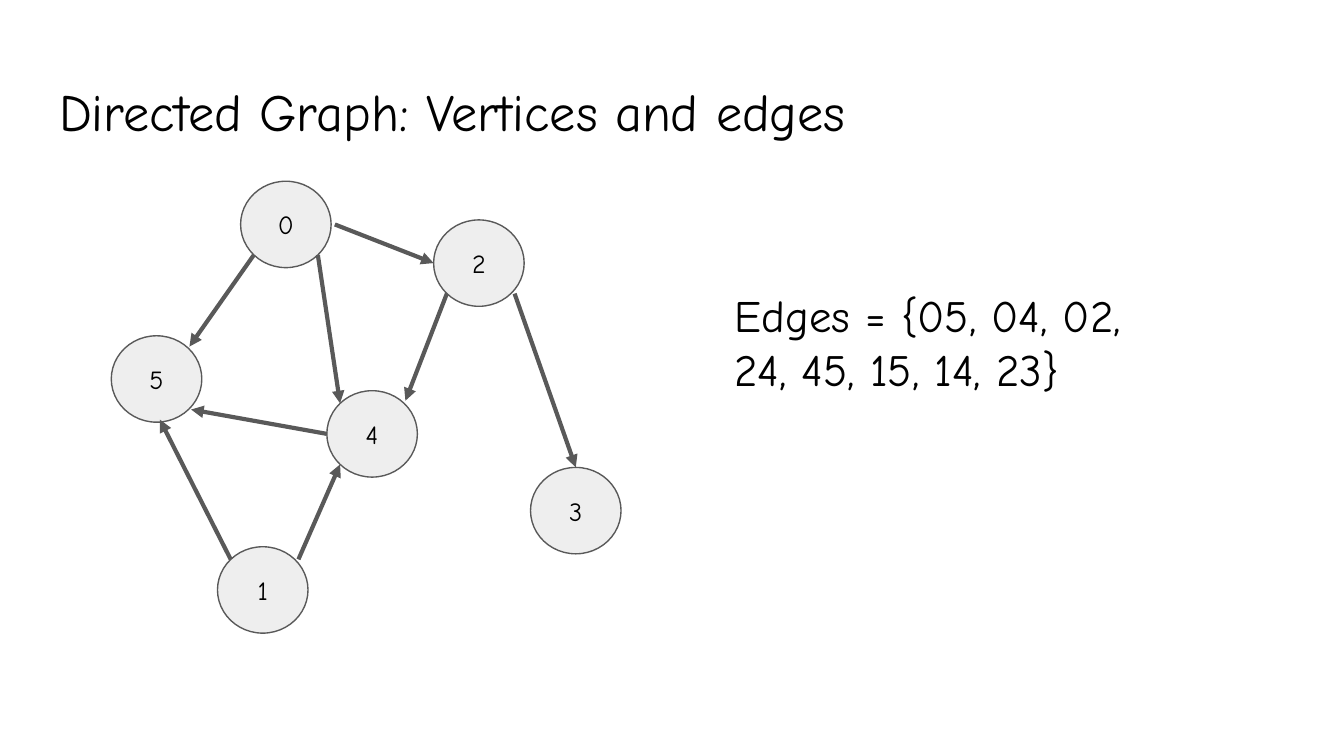
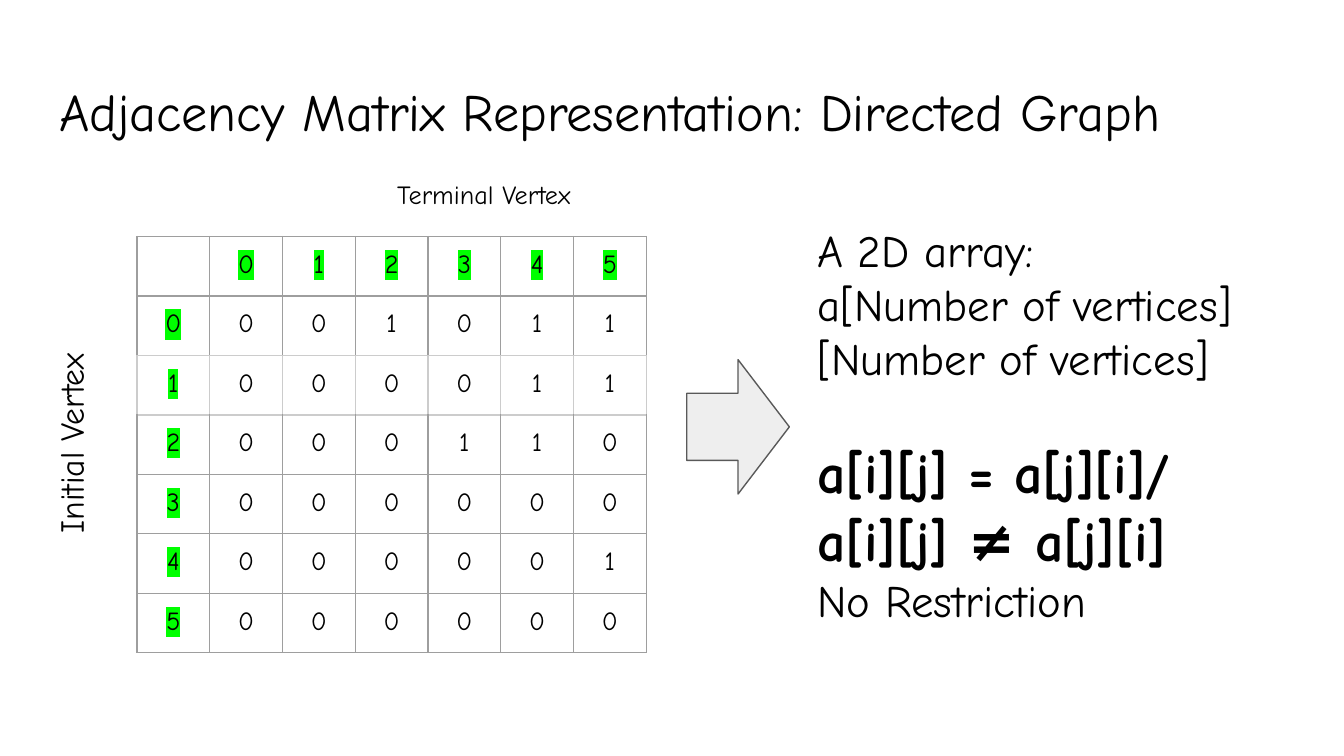
from lxml import etree
from pptx import Presentation
from pptx import util as u
from pptx.dml.color import RGBColor
from pptx.enum import shapes, text
from pptx.oxml import ns

FONT = "Comic Neue"
BLACK, WHITE, PALE, DARK = "000000", "FFFFFF", "EEEEEE", "595959"
GRID, LIGHT_GRID, GREEN = "9E9E9E", "CCCCCC", "00FF00"
INSET = 7.2
VERTEX_W, VERTEX_H = 48.5, 46.3
VERTICES = {
    "0": (128.9, 97.1),
    "1": (116.5, 292.9),
    "2": (232.3, 117.8),
    "3": (284.2, 250.4),
    "4": (175.1, 209.3),
    "5": (59.6, 179.9),
}
DIAGONAL = 0.5 ** 0.5
SITES = {
    "top": (0, -1), "left": (-1, 0), "bottom": (0, 1), "right": (1, 0),
    "top left": (-DIAGONAL, -DIAGONAL), "top right": (DIAGONAL, -DIAGONAL),
    "bottom left": (-DIAGONAL, DIAGONAL), "bottom right": (DIAGONAL, DIAGONAL),
}
ON_SITE = (0, 0)
EDGES = {
    "05": ("bottom left", "top right", ON_SITE, (0.5, -1)),
    "04": ("bottom right", "top left", ON_SITE, ON_SITE),
    "02": ("right", "left", (2, 0), ON_SITE),
    "24": ("bottom left", "top right", ON_SITE, (0.7, -1.4)),
    "45": ("left", "bottom right", ON_SITE, (1.4, 0)),
    "15": ("top left", "bottom", ON_SITE, (1.8, -1.4)),
    "14": ("top right", "bottom left", (2, 0), ON_SITE),
    "23": ("bottom right", "top", (2, 0), ON_SITE),
}


def color(value):
    return RGBColor.from_string(value)


def points(*values):
    return [u.Pt(value) for value in values]


def add_element(parent, tag, **attributes):
    element = etree.SubElement(parent, ns.qn(tag))
    for name, value in attributes.items():
        element.set(name, value)
    return element


def style_span(span, size, bold=False):
    span.font.name = FONT
    span.font.size = u.Pt(size)
    span.font.bold = bold
    span.font.color.rgb = color(BLACK)


def highlight(span, fill):
    properties = span.font.fill._xPr
    mark = etree.Element(ns.qn("a:highlight"))
    add_element(mark, "a:srgbClr", val=fill)
    properties.find(ns.qn("a:solidFill")).addnext(mark)


def write(frame, words, size, align=text.PP_ALIGN.LEFT, anchor=text.MSO_ANCHOR.TOP):
    frame.text = words
    frame.word_wrap = True
    frame.auto_size = text.MSO_AUTO_SIZE.NONE
    frame.vertical_anchor = anchor
    frame.margin_left = frame.margin_right = u.Pt(INSET)
    frame.margin_top = frame.margin_bottom = u.Pt(INSET)
    for para in frame.paragraphs:
        para.alignment = align
        for span in para.runs:
            style_span(span, size)


def add_page(deck, title):
    page = deck.slides.add_slide(deck.slide_layouts[5])
    page.background.fill.solid()
    page.background.fill.fore_color.rgb = color(WHITE)
    box = page.shapes.title
    box.left, box.top, box.width, box.height = points(24.5, 35.3, 671, 45.7)
    write(box.text_frame, title, 28)
    return page


def add_text(page, place, words, size, align=text.PP_ALIGN.LEFT):
    box = page.shapes.add_textbox(*points(*place))
    write(box.text_frame, words, size, align)
    return box


def add_outlined(page, kind, place):
    shape = page.shapes.add_shape(kind, *points(*place))
    shape.shadow.inherit = False
    shape.fill.solid()
    shape.fill.fore_color.rgb = color(PALE)
    shape.line.color.rgb = color(DARK)
    shape.line.width = u.Pt(0.75)
    return shape


def add_vertex(page, name, left, top):
    place = (left, top, VERTEX_W, VERTEX_H)
    vertex = add_outlined(page, shapes.MSO_SHAPE.FLOWCHART_CONNECTOR, place)
    write(vertex.text_frame, name, 14, text.PP_ALIGN.CENTER, text.MSO_ANCHOR.MIDDLE)


def rim_point(name, site, nudge):
    left, top = VERTICES[name]
    across, down = SITES[site]
    return (left + VERTEX_W / 2 * (1 + across) + nudge[0],
            top + VERTEX_H / 2 * (1 + down) + nudge[1])


def add_edge(page, start, end):
    edge = page.shapes.add_connector(
        shapes.MSO_CONNECTOR.STRAIGHT, *points(*start, *end))
    edge.line.color.rgb = color(DARK)
    edge.line.width = u.Pt(2.25)
    add_element(edge.line._ln, "a:tailEnd", type="triangle")
    add_element(edge._element.spPr, "a:effectLst")


def set_borders(cell, row):
    sides = {side: GRID for side in "LRTB"}
    if row == 2:
        sides = dict.fromkeys(sides, LIGHT_GRID)
    elif row == 1:
        sides["B"] = LIGHT_GRID
    elif row == 3:
        sides["T"] = LIGHT_GRID
    properties = cell._tc.get_or_add_tcPr()
    for index, (side, shade) in enumerate(sides.items()):
        border = etree.Element(ns.qn(f"a:ln{side}"), w=str(u.Pt(0.75)))
        add_element(add_element(border, "a:solidFill"), "a:srgbClr", val=shade)
        properties.insert(index, border)


def fill_cell(cell, words, row, is_header):
    cell.fill.background()
    cell.margin_left = cell.margin_right = u.Pt(INSET)
    cell.margin_top = cell.margin_bottom = u.Pt(INSET)
    cell.text = words
    para = cell.text_frame.paragraphs[0]
    para.alignment = text.PP_ALIGN.CENTER
    for span in para.runs:
        style_span(span, 14)
        if is_header:
            highlight(span, GREEN)
    if not words:
        para._p.get_or_add_endParaRPr().set("sz", "1400")
    set_borders(cell, row)


def add_matrix(page, left, top, width, height):
    names = list(VERTICES)
    rows = [["", *names]]
    for start in names:
        rows.append([start] + [str(int(start + end in EDGES)) for end in names])
    count = len(rows)
    matrix = page.shapes.add_table(
        count, count, *points(left, top, width, height)).table
    matrix.first_row = matrix.horz_banding = False
    for index in range(count):
        matrix.columns[index].width = u.Pt(width / count)
        matrix.rows[index].height = u.Pt(height / count)
    for row, values in enumerate(rows):
        for column, value in enumerate(values):
            fill_cell(matrix.cell(row, column), value, row, row == 0 or column == 0)


def build_graph_page(deck):
    page = add_page(deck, "Directed Graph: Vertices and edges")
    for name, (left, top) in VERTICES.items():
        add_vertex(page, name, left, top)
    for (start, end), (out_site, in_site, out_nudge, in_nudge) in EDGES.items():
        add_edge(page, rim_point(start, out_site, out_nudge),
                 rim_point(end, in_site, in_nudge))
    add_text(page, (386.6, 146.9, 312.5, 71.3),
             "Edges = {05, 04, 02,\n24, 45, 15, 14, 23}", 24)


def build_matrix_page(deck):
    page = add_page(deck, "Adjacency Matrix Representation: Directed Graph")
    add_matrix(page, 73.4, 126.7, 272.9, 223.2)
    label = add_text(page, (-74.2, 221.8, 219.6, 31.7), "Initial Vertex", 18,
                     text.PP_ALIGN.CENTER)
    label.rotation = 270
    add_text(page, (70.6, 88.6, 377.3, 25.2), "Terminal Vertex", 14,
             text.PP_ALIGN.CENTER)
    add_outlined(page, shapes.MSO_SHAPE.RIGHT_ARROW, (367.9, 192.7, 55, 72))
    summary = add_text(
        page, (430.6, 112.3, 245.5, 252),
        "A 2D array:\na[Number of vertices]\n[Number of vertices]\n"
        "a[i][j] = a[j][i]/\na[i][j] ≠ a[j][i]\nNo Restriction", 24)
    formulas = summary.text_frame.paragraphs[3:5]
    formulas[0].space_before = u.Pt(28.7)
    for para in formulas:
        for span in para.runs:
            style_span(span, 30, bold=True)


def main():
    deck = Presentation()
    deck.slide_width, deck.slide_height = points(720, 405)
    build_graph_page(deck)
    build_matrix_page(deck)
    deck.save("out.pptx")


if __name__ == "__main__":
    main()
